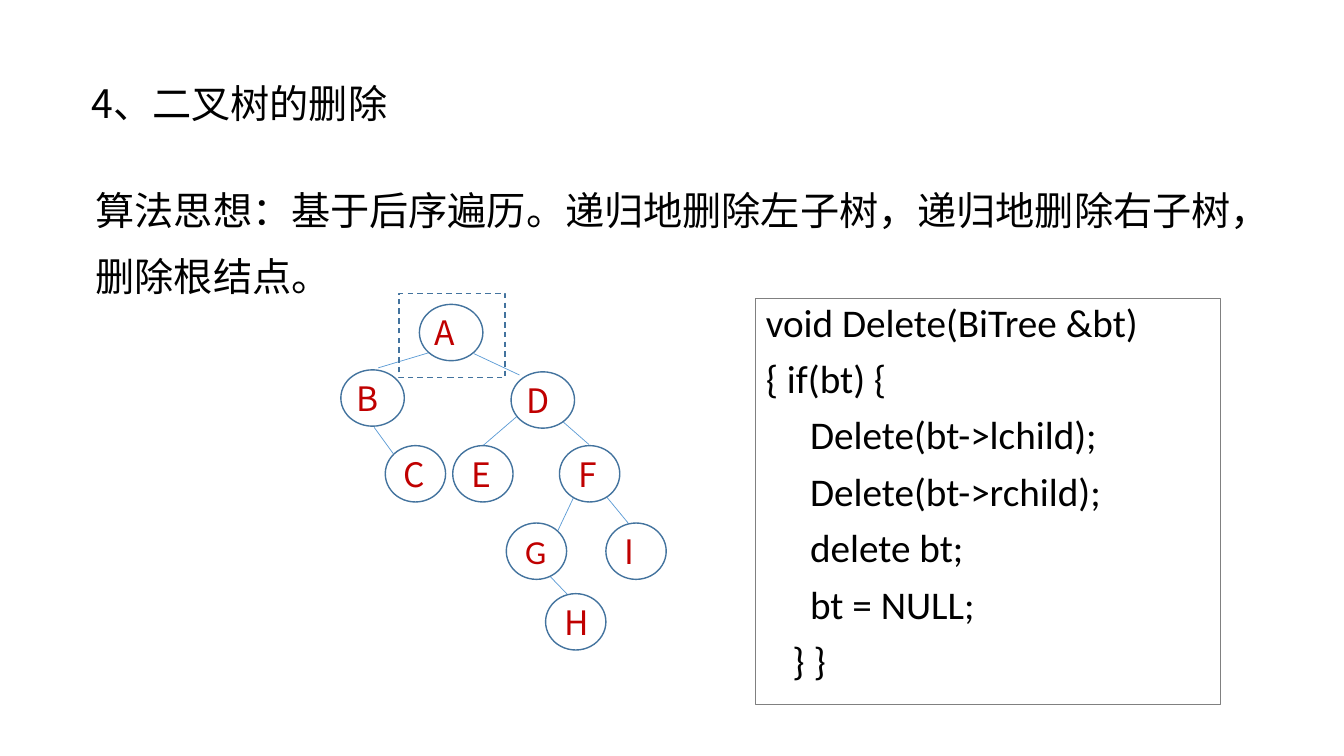
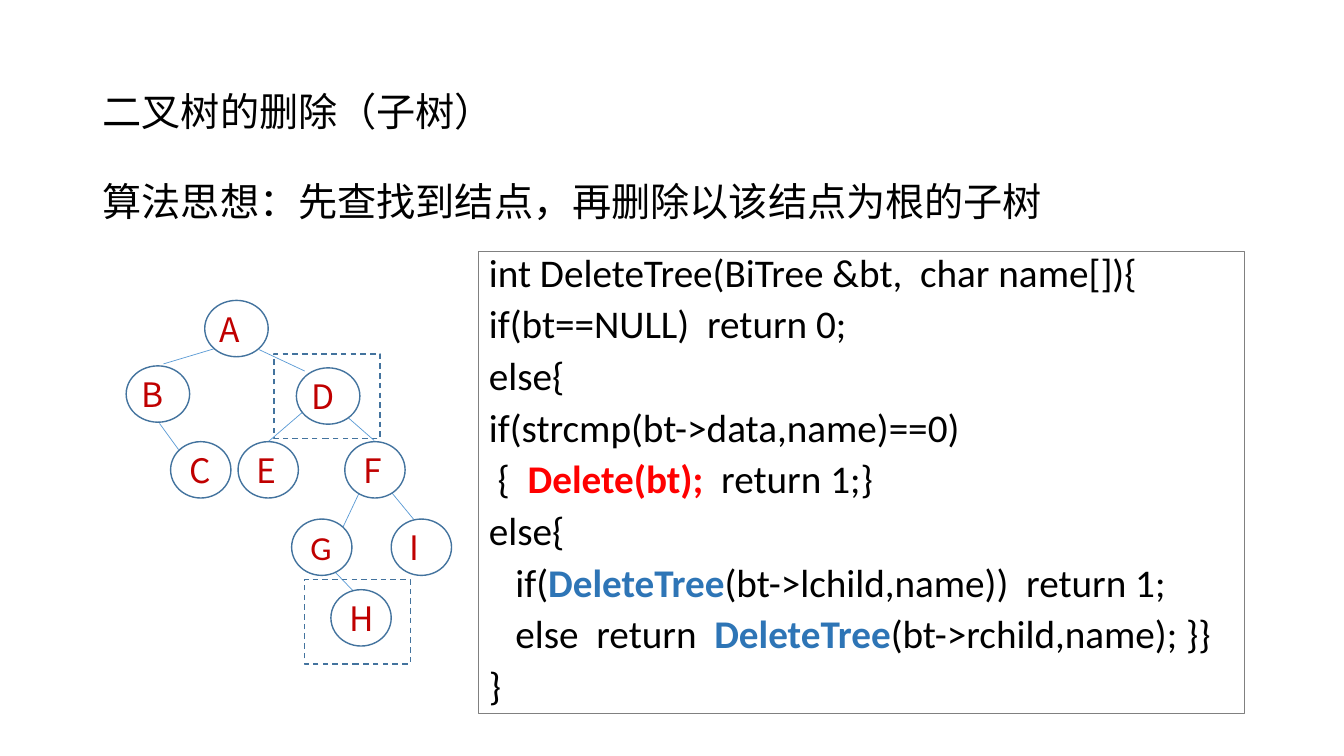
from dataclasses import dataclass

from lxml import etree
from pptx import Presentation
from pptx.dml.color import RGBColor
from pptx.enum import dml, shapes, text
from pptx.oxml.ns import qn
from pptx.util import Cm, Pt


@dataclass(frozen=True)
class Theme:
    ink: str = "000000"
    paper: str = "FFFFFF"
    letter: str = "C00000"
    outline: str = "43739E"
    branch: str = "5B9BD5"
    code_border: str = "808080"
    alert: str = "FF0000"
    accent: str = "2E75B6"
    text_size: int = 28
    letter_size: int = 24
    cjk: str = "Noto Sans CJK SC"
    latin: str = "Calibri"


THEME = Theme()
ALERT = {"color": THEME.alert, "bold": True}
ACCENT = {"color": THEME.accent, "bold": True}

# Tree geometry in cm, measured from the tree's top left corner
NODE_HEIGHT = 1.42
WIDE, NARROW = 1.6, 1.52
FRAME_SIZE = (2.67, 2.13)
NODES = {
    "A": (1.98, 0, WIDE), "B": (0, 1.65, WIDE), "D": (4.29, 1.7, WIDE),
    "C": (1.12, 3.56, NARROW), "E": (2.82, 3.56, NARROW), "F": (5.51, 3.56, NARROW),
    "G": (4.17, 5.51, NARROW), "I": (6.68, 5.51, NARROW), "H": (5.16, 7.29, NARROW),
}
BRANCHES = [
    (2.21, 1.22, 0.94, 1.6),
    (3.35, 1.24, 4.5, 1.78),
    (0.84, 3.1, 1.32, 3.76),
    (4.65, 2.64, 3.58, 3.56),
    (5.44, 2.82, 6.25, 3.53),
    (5.99, 4.6, 5.46, 5.72),
    (6.68, 4.83, 7.24, 5.51),
    (5.23, 6.81, 5.72, 7.32),
]

PAGES = [
    {
        "title": ("4、二叉树的删除", (2.06, 1.07, 22.86, 3.18)),
        "idea": ("算法思想：基于后序遍历。递归地删除左子树，递归地删除右子树，删除根结点。",
                 (2.16, 4.1, 29.21, 3.78), Pt(47)),
        "tree": (8.59, 7.67),
        "back_frames": [],
        "front_frames": [(10.06, 7.39)],
        "code_area": (19.05, 7.52, 11.71, 10.24),
        "code_spacing": 0.9,
        "code": [
            [("void Delete(BiTree &bt)", {})],
            [("{ if(bt) {", {})],
            [("     Delete(bt->lchild);", {})],
            [("     Delete(bt->rchild);", {})],
            [("     delete bt;", {})],
            [("     bt = NULL;", {})],
            [("   } }", {})],
        ],
    },
    {
        "title": ("二叉树的删除（子树）", (2.34, 1.02, 29.21, 3.68)),
        "idea": ("算法思想：先查找到结点，再删除以该结点为根的子树",
                 (2.34, 4.39, 25.58, 1.65), Pt(32)),
        "tree": (3.18, 7.57),
        "back_frames": [(6.91, 8.92)],
        "front_frames": [(7.67, 14.6)],
        "code_area": (12.07, 6.35, 19.3, 11.63),
        "code_spacing": 0.8,
        "code": [
            [("int DeleteTree(BiTree &bt,  char name[]){", {})],
            [("if(bt==NULL)  return 0;", {})],
            [("else{", {})],
            [("if(strcmp(bt->data,name)==0)", {})],
            [(" {  ", {}), ("Delete(bt);  ", ALERT), ("return 1;}", {})],
            [("else{", {})],
            [("   if(", {}), ("DeleteTree", ACCENT),
             ("(bt->lchild,name))  return 1;", {})],
            [("   else  return  ", {}), ("DeleteTree", ACCENT),
             ("(bt->rchild,name); }}", {})],
            [("}", {})],
        ],
    },
]


def assign(target, **values):
    for name, value in values.items():
        setattr(target, name, value)


def lengths(*numbers):
    return [Cm(number) for number in numbers]


def add_span(para, words, face, size=THEME.text_size, color=THEME.ink, bold=False):
    span = para.add_run()
    span.text = words
    assign(span.font, name=face, size=Pt(size), bold=bold)
    span.font.color.rgb = RGBColor.from_string(color)
    east_asian = etree.SubElement(span.font._element, qn("a:ea"))
    east_asian.set("typeface", face)


def add_shape(parent, preset, area, line_color, line_width, fill=None):
    shape = parent.shapes.add_shape(preset, *lengths(*area))
    shape.shadow.inherit = False
    if fill:
        shape.fill.solid()
        shape.fill.fore_color.rgb = RGBColor.from_string(fill)
    else:
        shape.fill.background()
    shape.line.color.rgb = RGBColor.from_string(line_color)
    shape.line.width = Pt(line_width)
    return shape


def add_text(page, words, area, spacing, anchor):
    box = page.shapes.add_textbox(*lengths(*area))
    assign(box.text_frame, word_wrap=True, vertical_anchor=anchor)
    para = box.text_frame.paragraphs[0]
    para.line_spacing = spacing
    para._p.get_or_add_pPr().set("hangingPunct", "1")
    add_span(para, words, THEME.cjk)


def add_branch(group, left, top, ends):
    x1, y1, x2, y2 = ends
    branch = group.shapes.add_connector(
        shapes.MSO_CONNECTOR.STRAIGHT,
        *lengths(left + x1, top + y1, left + x2, top + y2))
    branch.line.color.rgb = RGBColor.from_string(THEME.branch)
    branch.line.width = Pt(0.5)
    etree.SubElement(branch._element.spPr, qn("a:effectLst"))


def add_node(group, letter, left, top, width):
    node = add_shape(group, shapes.MSO_SHAPE.OVAL, (left, top, width, NODE_HEIGHT),
                     THEME.outline, 1, THEME.paper)
    node.text_frame.vertical_anchor = text.MSO_ANCHOR.MIDDLE
    para = node.text_frame.paragraphs[0]
    para.alignment = text.PP_ALIGN.JUSTIFY
    if width == WIDE:
        node.text_frame.margin_left = 0
        indent = para._p.get_or_add_pPr()
        indent.set("marL", "0")
        indent.set("indent", str(Cm(0.15)))
    face = THEME.latin if letter == "G" else THEME.cjk
    add_span(para, letter, face, THEME.letter_size, THEME.letter)


def add_tree(page, left, top):
    group = page.shapes.add_group_shape()
    for ends in BRANCHES:
        add_branch(group, left, top, ends)
    for letter, (x, y, width) in NODES.items():
        add_node(group, letter, left + x, top + y, width)


def add_frames(page, corners):
    """Dashed frames that mark the nodes being deleted."""
    for corner in corners:
        frame = add_shape(page, shapes.MSO_SHAPE.RECTANGLE, corner + FRAME_SIZE,
                          THEME.outline, 1)
        frame.line.dash_style = dml.MSO_LINE.DASH


def add_code(page, lines, area, spacing):
    box = add_shape(page, shapes.MSO_SHAPE.RECTANGLE, area, THEME.code_border, 0.75)
    frame = box.text_frame
    assign(frame, word_wrap=True, vertical_anchor=text.MSO_ANCHOR.TOP)
    for number, spans in enumerate(lines):
        para = frame.add_paragraph() if number else frame.paragraphs[0]
        assign(para, alignment=text.PP_ALIGN.LEFT, line_spacing=spacing,
               space_before=Pt(10 if number else 0))
        for words, style in spans:
            add_span(para, words, THEME.latin, **style)


def build_page(deck, content):
    page = deck.slides.add_slide(deck.slide_layouts[6])
    add_frames(page, content["back_frames"])
    title, title_area = content["title"]
    add_text(page, title, title_area, 0.9, text.MSO_ANCHOR.MIDDLE)
    add_text(page, *content["idea"], text.MSO_ANCHOR.TOP)
    add_tree(page, *content["tree"])
    add_frames(page, content["front_frames"])
    add_code(page, content["code"], content["code_area"], content["code_spacing"])


def main():
    deck = Presentation()
    assign(deck, slide_width=Cm(33.87), slide_height=Cm(19.05))
    for content in PAGES:
        build_page(deck, content)
    deck.save("out.pptx")


if __name__ == "__main__":
    main()
